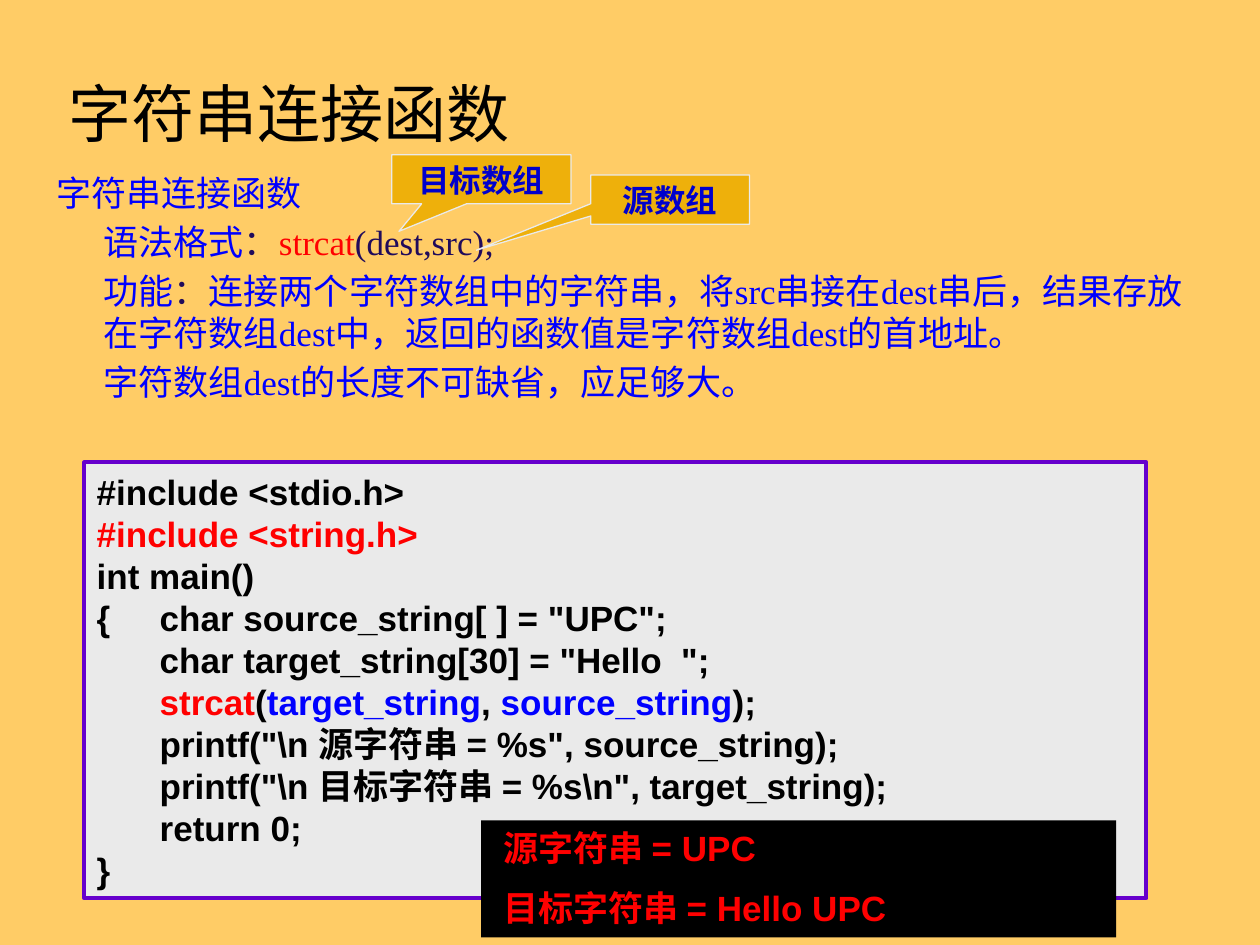
"""Build the slide that explains the string concatenation function strcat."""
import dataclasses

import pptx
import pptx.dml.color
import pptx.enum.shapes
import pptx.enum.text
import pptx.oxml
import pptx.oxml.ns
import pptx.util

Cm = pptx.util.Cm
Pt = pptx.util.Pt
SHAPE = pptx.enum.shapes.MSO_SHAPE
ANCHOR = pptx.enum.text.MSO_ANCHOR
ALIGN = pptx.enum.text.PP_ALIGN


@dataclasses.dataclass(frozen=True)
class Theme:
    """Colours, fonts and type sizes of the slide."""
    background: str = "FFCC66"
    black: str = "000000"
    red: str = "FF0000"
    blue: str = "0000FF"
    indigo: str = "200B5B"
    label: str = "0000CC"
    callout: str = "EEB00B"
    pale: str = "EAEAEA"
    frame: str = "6600CC"
    chinese: str = "Noto Sans CJK SC"
    serif: str = "Times New Roman"
    sans: str = "Arial"
    title_size: int = 36
    text_size: int = 20
    label_size: int = 18


THEME = Theme()


def rgb(code):
    """Return the colour for a hexadecimal code."""
    return pptx.dml.color.RGBColor.from_string(code)


def apply(target, values):
    """Set each attribute in values on target."""
    for name, value in values.items():
        setattr(target, name, value)


def set_frame(frame, anchor=ANCHOR.TOP, **extra):
    """Make a text frame wrap, with its anchor and any margins."""
    apply(frame, {"word_wrap": True, "vertical_anchor": anchor, **extra})


def write_paragraphs(frame, paragraphs, font, size, bold=False, align=ALIGN.LEFT, gap=0):
    """Write paragraphs given as lists of (words, colour) runs."""
    for index, runs in enumerate(paragraphs):
        paragraph = frame.add_paragraph() if index else frame.paragraphs[0]
        space = Pt(gap if index else 0)
        apply(paragraph, {"alignment": align, "space_before": space})
        for words, colour in runs:
            run = paragraph.add_run()
            run.text = words
            apply(run.font, {"name": font, "size": Pt(size), "bold": bold})
            run.font.color.rgb = rgb(colour)
            east_asian = pptx.oxml.parse_xml(
                f'<a:ea {pptx.oxml.ns.nsdecls("a")} typeface="{THEME.chinese}"/>')
            run.font._element.find(pptx.oxml.ns.qn("a:latin")).addnext(east_asian)


def add_text(slide, box, anchor=ANCHOR.TOP):
    """Add a wrapping text box and return its frame."""
    frame = slide.shapes.add_textbox(*map(Cm, box)).text_frame
    set_frame(frame, anchor)
    return frame


def add_panel(slide, kind, box, fill, line=None, width=0.75):
    """Add a filled shape with an optional outline."""
    panel = slide.shapes.add_shape(kind, *map(Cm, box))
    panel.shadow.inherit = False
    panel.fill.solid()
    panel.fill.fore_color.rgb = rgb(fill)
    if line:
        panel.line.color.rgb = rgb(line)
        panel.line.width = Pt(width)
    else:
        panel.line.fill.background()
    return panel


def add_callout(slide, label, box, tip):
    """Add a labelled callout whose tip points at an argument."""
    callout = add_panel(slide, SHAPE.RECTANGULAR_CALLOUT, box, THEME.callout, THEME.pale)
    for index, offset in enumerate(tip):
        callout.adjustments[index] = offset
    set_frame(callout.text_frame)
    write_paragraphs(callout.text_frame, [[(label, THEME.label)]], THEME.sans,
                     THEME.label_size, bold=True, align=ALIGN.CENTER)


def add_explanation(slide):
    """Add the heading, syntax and purpose of the function."""
    blue, indigo = THEME.blue, THEME.indigo
    paragraphs = [
        [("字符串连接函数", blue)],
        [("语法格式", blue), ("：", indigo), ("strcat", THEME.red), ("(dest,src);", indigo)],
        [("功能", blue), ("：", indigo),
         ("连接两个字符数组中的字符串，将src串接在dest串后，结果存放在字符数组dest中，"
          "返回的函数值是字符数组dest的首地址。", blue)],
        [("字符数组dest的长度不可缺省，应足够大。", blue)],
    ]
    frame = add_text(slide, (0.89, 3.33, 23.8, 5.41))
    write_paragraphs(frame, paragraphs, THEME.serif, THEME.text_size, gap=4)
    for detail in frame.paragraphs[1:]:
        detail._p.get_or_add_pPr().set("marL", str(Cm(0.95)))


def add_program(slide):
    """Add the framed program listing."""
    black, red, blue = THEME.black, THEME.red, THEME.blue
    lines = [
        [("#include <stdio.h>", black)],
        [("#include <string.h>", red)],
        [("int main()", black)],
        [('{\tchar source_string[ ] = "UPC";', black)],
        [('\tchar target_string[30] = "Hello  ";', black)],
        [("\t", black), ("strcat", red), ("(", black), ("target_string", blue),
         (", ", black), ("source_string", blue), (");", black)],
        [("\t" r'printf("\n 源字符串 = %s", source_string);', black)],
        [("\t" r'printf("\n 目标字符串 = %s\n", target_string);', black)],
        [("\treturn 0;", black)],
        [("}", black)],
    ]
    program = add_panel(slide, SHAPE.RECTANGLE, (1.7, 9.32, 21.41, 8.79),
                        THEME.pale, THEME.frame, 2.25)
    set_frame(program.text_frame, ANCHOR.MIDDLE)
    write_paragraphs(program.text_frame, lines, THEME.sans, THEME.text_size, bold=True)


def add_output(slide):
    """Add the console panel with the program's output."""
    console = add_panel(slide, SHAPE.RECTANGLE, (9.7, 16.54, 12.8, 2.36), THEME.black)
    set_frame(console.text_frame, margin_left=Cm(0.45))
    results = ("源字符串 = UPC", "目标字符串 = Hello UPC")
    write_paragraphs(console.text_frame, [[(result, THEME.red)] for result in results],
                     THEME.sans, THEME.text_size, bold=True, gap=10)


def main():
    """Build and save the slide."""
    deck = pptx.Presentation()
    apply(deck, {"slide_width": Cm(25.4), "slide_height": Cm(19.05)})
    slide = deck.slides.add_slide(deck.slide_layouts[6])
    slide.background.fill.solid()
    slide.background.fill.fore_color.rgb = rgb(THEME.background)

    title = add_text(slide, (1.14, 1.35, 22.86, 1.83), ANCHOR.MIDDLE)
    write_paragraphs(title, [[("字符串连接函数", THEME.black)]], THEME.chinese,
                     THEME.title_size)
    add_explanation(slide)
    add_callout(slide, "目标数组", (7.9, 3.12, 3.61, 0.99), (-0.46, 1.06))
    add_callout(slide, "源数组", (11.91, 3.53, 3.2, 0.99), (-1.22, 1.03))
    add_program(slide)
    add_output(slide)
    deck.save("out.pptx")


if __name__ == "__main__":
    main()
